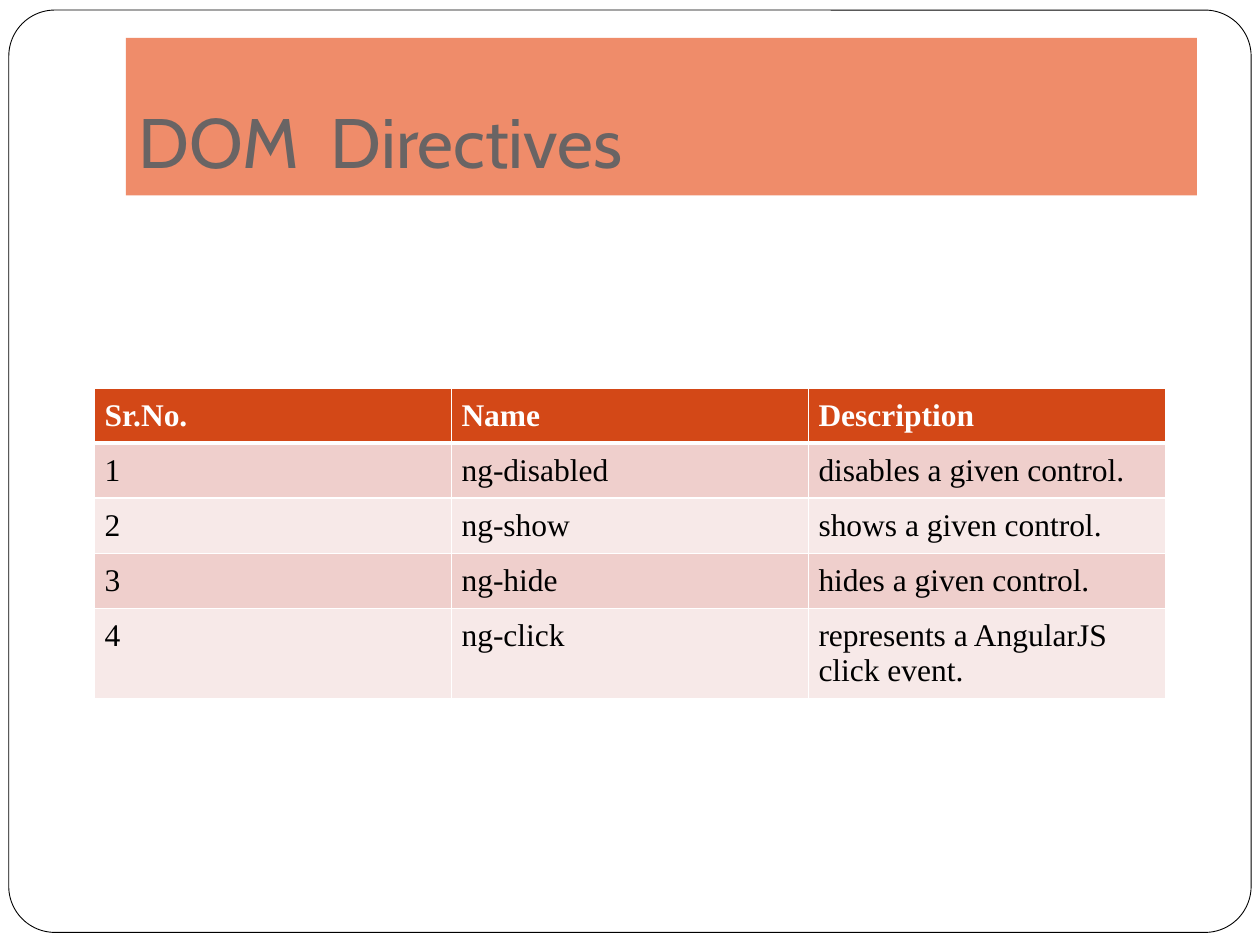
from dataclasses import dataclass

from lxml.etree import SubElement
from pptx import Presentation
from pptx.dml.color import RGBColor
from pptx.enum.shapes import MSO_SHAPE as Shape
from pptx.enum.text import MSO_ANCHOR as Anchor, PP_ALIGN as Align
from pptx.oxml.ns import qn
from pptx.util import Inches, Pt

COLUMNS, ROWS = 100, 75

DIRECTIVES = [
    ("Sr.No.", "Name", "Description"),
    ("1", "ng-disabled", "disables a given control."),
    ("2", "ng-show", "shows a given control."),
    ("3", "ng-hide", "hides a given control."),
    ("4", "ng-click", "represents a AngularJS click event."),
]


@dataclass(frozen=True)
class Theme:
    paper: str = "FFFFFF"
    ink: str = "000000"
    title_fill: str = "EF8C6A"
    title_text: str = "696464"
    header: str = "D34817"
    bands: tuple = ("EFCFCC", "F7E9E8")
    title_font: str = "Cabin"
    body_font: str = "Times New Roman"
    title_size: int = 40
    body_size: int = 18


class SlideBuilder:
    """Places elements on a slide; lengths are grid columns and rows."""

    def __init__(self, presentation, theme):
        self.theme = theme
        self.column = presentation.slide_width / COLUMNS
        self.row = presentation.slide_height / ROWS
        self.slide = presentation.slides.add_slide(presentation.slide_layouts[6])

    def area(self, left, top, width, height):
        return (round(left * self.column), round(top * self.row),
                round(width * self.column), round(height * self.row))

    def box(self, kind, area, fill):
        shape = self.slide.shapes.add_shape(kind, *self.area(*area))
        shape.shadow.inherit = False
        shape.fill.solid()
        shape.fill.fore_color.rgb = RGBColor.from_string(fill)
        shape.line.fill.background()
        return shape

    def frame(self, area):
        shape = self.box(Shape.ROUNDED_RECTANGLE, area, self.theme.paper)
        shape.adjustments[0] = 0.05
        shape.line.color.rgb = RGBColor.from_string(self.theme.ink)
        shape.line.width = Pt(0.5)

    def add_text(self, text_frame, text, font_name, size, color, bold=False):
        paragraph = text_frame.paragraphs[0]
        paragraph.alignment = Align.LEFT
        run = paragraph.add_run()
        run.text = text
        run.font.name = font_name
        run.font.size = Pt(size)
        run.font.bold = bold
        run.font.color.rgb = RGBColor.from_string(color)

    def title(self, text, area):
        theme = self.theme
        text_frame = self.box(Shape.RECTANGLE, area, theme.title_fill).text_frame
        text_frame.word_wrap = True
        text_frame.vertical_anchor = Anchor.BOTTOM
        text_frame.margin_bottom = Inches(0.1)
        self.add_text(text_frame, text, theme.title_font, theme.title_size, theme.title_text)

    def border(self, cell, side, width):
        properties = cell._tc.get_or_add_tcPr()
        line = SubElement(properties, qn(f"a:ln{side}"), w=str(Pt(width)))
        fill = SubElement(line, qn("a:solidFill"))
        SubElement(fill, qn("a:srgbClr"), val=self.theme.paper)

    def cell(self, cell, text, row):
        theme = self.theme
        is_header = row == 0
        cell.margin_left = cell.margin_right = Inches(0.08)
        cell.margin_top = cell.margin_bottom = Inches(0.08)
        thick_side = {0: "B", 1: "T"}.get(row)
        for side in "LRTB":
            self.border(cell, side, 3 if side == thick_side else 1)
        fill = theme.header if is_header else theme.bands[(row - 1) % 2]
        cell.fill.solid()
        cell.fill.fore_color.rgb = RGBColor.from_string(fill)
        color = theme.paper if is_header else theme.ink
        self.add_text(cell.text_frame, text, theme.body_font, theme.body_size, color, is_header)

    def table(self, records, area):
        shape = self.slide.shapes.add_table(len(records), len(records[0]), *self.area(*area))
        for row, record in enumerate(records):
            for column, text in enumerate(record):
                self.cell(shape.table.cell(row, column), text, row)


def main():
    presentation = Presentation()
    presentation.slide_width, presentation.slide_height = Inches(10), Inches(7.5)
    builder = SlideBuilder(presentation, Theme())
    builder.frame((0.7, 0.8, 98.6, 73.2))
    builder.title("DOM  Directives", (10, 3, 85, 12.5))
    builder.table(DIRECTIVES, (7.5, 30.8, 85, 20.5))
    presentation.save("out.pptx")


if __name__ == "__main__":
    main()
